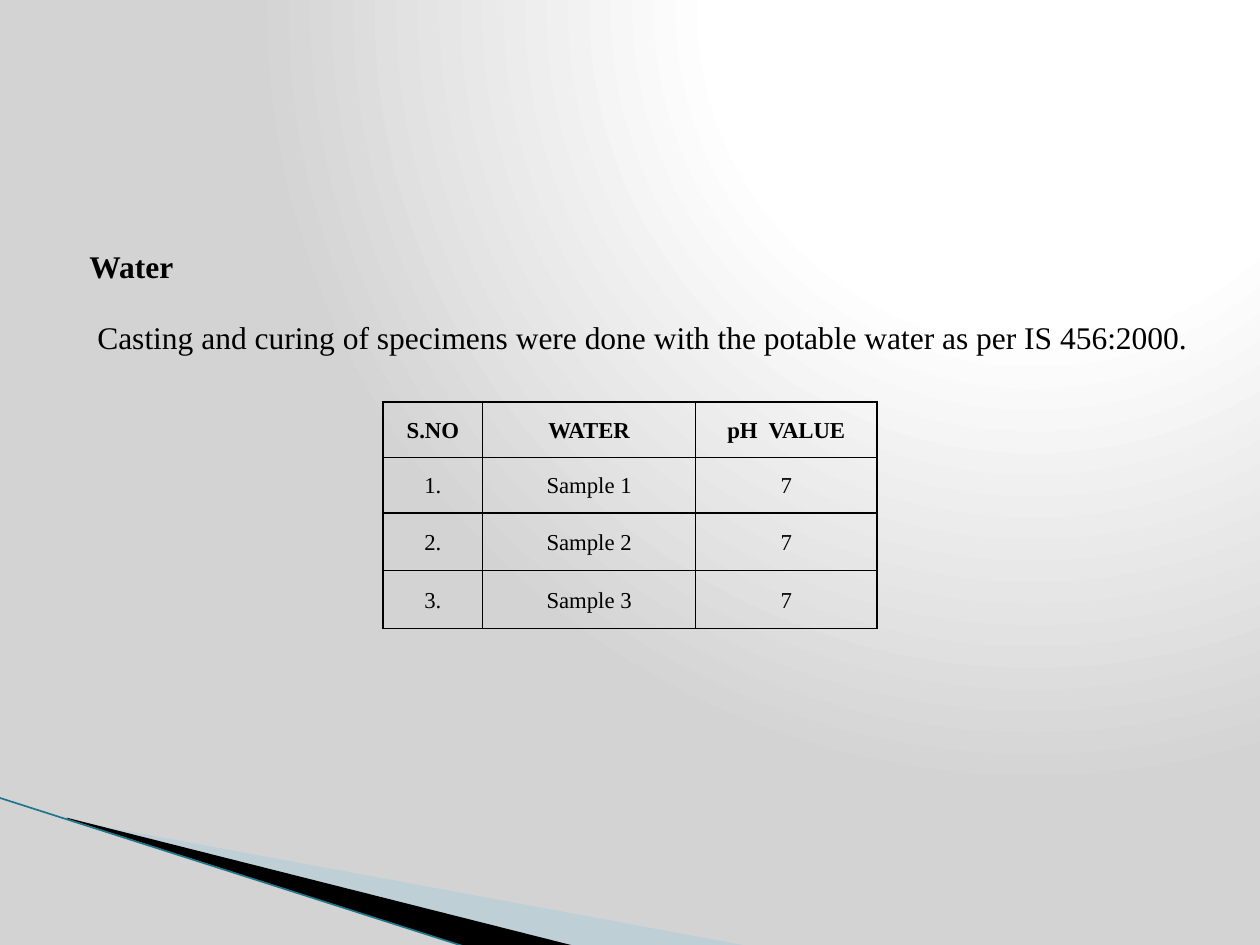
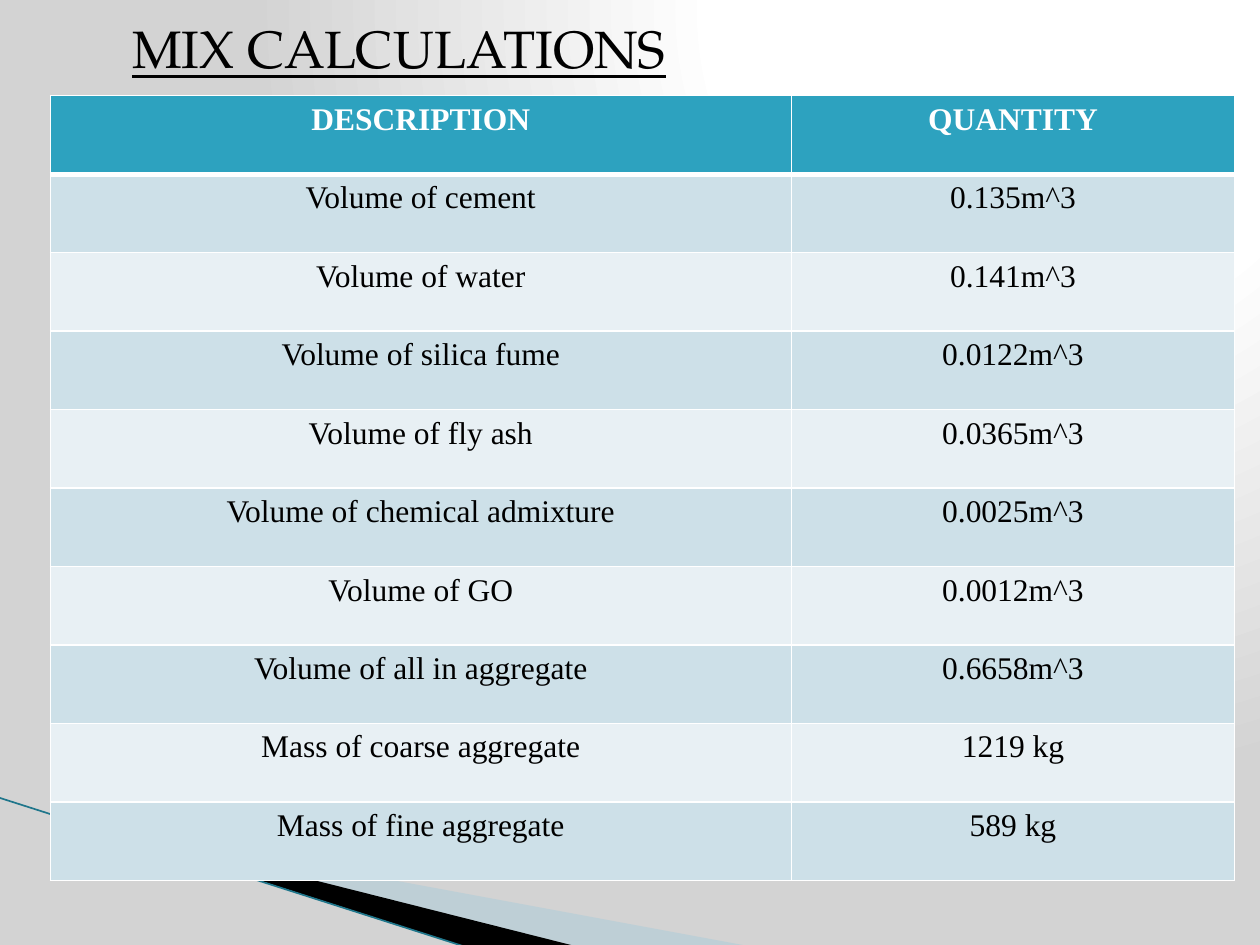
"""Build two slides on water tests and mix figures for concrete."""
from dataclasses import dataclass

from lxml.etree import SubElement as Sub
from pptx import Presentation
from pptx.dml.color import RGBColor as Rgb
from pptx.enum.text import MSO_ANCHOR as Anchor, MSO_AUTO_SIZE as Auto, PP_ALIGN as Align
from pptx.oxml.ns import qn
from pptx.util import Inches, Pt

SERIF = "Times New Roman"
BLACK, WHITE, HEAD = "000000", "FFFFFF", "2DA2BF"
BANDS = ("CDE0E8", "E8F0F4")


@dataclass
class Wedge:
    """Hold the points, fill and alpha of one corner wedge."""
    points: list
    color: str
    alpha: int = 100


@dataclass
class Grid:
    """Hold the place, content and look of one table."""
    box: tuple
    cols: list
    heights: list
    rows: list
    size: int
    edge: str
    rule: int
    para: dict
    cell: dict
    head: str = ""
    bands: tuple = ()
    ink: str = BLACK


WEDGES = [
    Wedge([(0.55, 6.51), (5.95, 7.51), (4.56, 7.51), (0.55, 6.5)], "A0CBDC", 40),
    Wedge([(0.53, 6.49), (4.57, 7.51), (3.72, 7.52), (0.54, 6.5)], BLACK),
]
WATER = Grid(
    box=(3.04, 3.19, 3.92, 1.8), cols=[0.79, 1.69, 1.44],
    heights=[0.44, 0.44, 0.46, 0.46],
    rows=[("S.NO", "WATER", "pH  VALUE")]
    + [(f"{n}.", f"Sample {n}", "7") for n in range(1, 4)],
    size=13, edge=BLACK, rule=1,
    para={"line_spacing": 1.07, "space_after": Pt(8)},
    cell={"margin_left": Inches(0.07), "margin_right": Inches(0.07), "margin_top": 0,
          "margin_bottom": 0, "vertical_anchor": Anchor.MIDDLE},
)
MIX = Grid(
    box=(0.4, 0.76, 9.4, 6.23), cols=[5.88, 3.52], heights=[0.623] * 10,
    rows=[
        ("DESCRIPTION", "QUANTITY"),
        ("Volume of cement", "0.135m^3"),
        ("Volume of water", "0.141m^3"),
        ("Volume of silica fume", "0.0122m^3"),
        ("Volume of fly ash", "0.0365m^3"),
        ("Volume of chemical admixture", "0.0025m^3"),
        ("Volume of GO", "0.0012m^3"),
        ("Volume of all in aggregate", "0.6658m^3"),
        ("Mass of coarse aggregate", "1219 kg"),
        ("Mass of fine aggregate", "589 kg"),
    ],
    size=18, edge=WHITE, rule=3, para={}, cell={}, head=HEAD, bands=BANDS, ink=WHITE,
)


def style(item, **values) -> None:
    """Set each named value on an item."""
    for name, value in values.items():
        setattr(item, name, value)


def paint(fill, color: str) -> None:
    """Fill with a hex colour, or with nothing when it is empty."""
    if color:
        fill.solid()
        fill.fore_color.rgb = Rgb.from_string(color)
    else:
        fill.background()


def write(para, text: str, face: str, size: int, color: str, **values) -> None:
    """Add one formatted run to a paragraph."""
    run = para.add_run()
    run.text = text
    style(run.font, name=face, size=Pt(size), **values)
    paint(run.font.fill, color)


def place(shape, box: tuple) -> None:
    """Move and size a shape in inches."""
    style(shape, **dict(zip(("left", "top", "width", "height"), map(Inches, box))))


def shade(page) -> None:
    """Give a page the round grey gradient."""
    fill = page.background.fill
    fill.gradient()
    grad = page.background._cSld.find(".//" + qn("a:gradFill"))
    for child in list(grad):
        grad.remove(child)
    stops = Sub(grad, qn("a:gsLst"))
    for pos, color in ((0, WHITE), (40, WHITE), (100, "D3D3D3")):
        stop = Sub(stops, qn("a:gs"), pos=str(pos * 1000))
        Sub(stop, qn("a:srgbClr"), val=color)
    way = Sub(grad, qn("a:path"), path="circle")
    Sub(way, qn("a:fillToRect"), l="65000", b="98000")


def swoosh(slide) -> None:
    """Draw the wedges and the line in the lower corner."""
    for wedge in WEDGES:
        dots = [(Inches(x), Inches(y)) for x, y in wedge.points]
        form = slide.shapes.build_freeform(*dots[0])
        form.add_line_segments(dots[1:])
        shape = form.convert_to_shape()
        shape.shadow.inherit = False
        paint(shape.fill, wedge.color)
        shape.line.fill.background()
        if wedge.alpha < 100:
            tint = shape._element.spPr.find(".//" + qn("a:srgbClr"))
            Sub(tint, qn("a:alpha"), val=str(wedge.alpha * 1000))
    line = slide.shapes.add_connector(1, *map(Inches, (-0.01, 6.33, 3.71, 7.52)))
    paint(line.line.fill, "1F768B")
    line.line.width = Pt(0.95)
    Sub(line._element.spPr, qn("a:effectLst"))


def edge(cell, color: str, **widths) -> None:
    """Draw the four borders of a cell, one point wide unless told."""
    for side in "LRTB":
        line = Sub(cell._tc.get_or_add_tcPr(), qn("a:ln" + side),
                   w=str(Pt(widths.get(side, 1))))
        Sub(Sub(line, qn("a:solidFill")), qn("a:srgbClr"), val=color)


def fill_grid(slide, grid: Grid) -> None:
    """Add a table and fill its cells."""
    table = slide.shapes.add_table(len(grid.rows), len(grid.cols),
                                   *map(Inches, grid.box)).table
    style(table, first_row=bool(grid.head), horz_banding=bool(grid.bands))
    for col, width in zip(table.columns, grid.cols):
        col.width = Inches(width)
    for row, height in zip(table.rows, grid.heights):
        row.height = Inches(height)
    for r, texts in enumerate(grid.rows):
        top = r == 0
        band = grid.bands[(r - 1) % 2] if grid.bands else ""
        rule = {0: {"B": grid.rule}, 1: {"T": grid.rule}}.get(r, {})
        for c, text in enumerate(texts):
            cell = table.cell(r, c)
            edge(cell, grid.edge, **rule)
            paint(cell.fill, grid.head if top else band)
            style(cell, **grid.cell)
            para = cell.text_frame.paragraphs[0]
            style(para, alignment=Align.CENTER, **grid.para)
            write(para, text, SERIF, grid.size, grid.ink if top else BLACK, bold=top)


def water(deck) -> None:
    """Build the slide on water."""
    slide = deck.slides.add_slide(deck.slide_layouts[1])
    title, body = slide.placeholders
    title._element.getparent().remove(title._element)
    swoosh(slide)
    place(body, (0.61, 1.76, 9.06, 1.08))
    frame = body.text_frame
    style(frame, word_wrap=True, auto_size=Auto.NONE)
    texts = ("Water", "\u00a0Casting and curing of specimens were done "
             "with the potable water as per IS 456:2000.")
    for n, text in enumerate(texts):
        para = frame.add_paragraph() if n else frame.paragraphs[0]
        style(para, alignment=Align.JUSTIFY, line_spacing=1.5,
              space_before=Pt(0), space_after=Pt(8))
        props = para._p.get_or_add_pPr()
        props.set("marL", "0")
        props.set("indent", "0")
        Sub(props, qn("a:buNone"))
        write(para, text, SERIF, 18, BLACK, bold=n == 0)
    fill_grid(slide, WATER)


def mix(deck) -> None:
    """Build the slide of mix figures."""
    slide = deck.slides.add_slide(deck.slide_layouts[5])
    swoosh(slide)
    fill_grid(slide, MIX)
    title = slide.shapes.title
    place(title, (0.95, 0.08, 6.56, 0.61))
    style(title.text_frame, word_wrap=True, auto_size=Auto.NONE,
          vertical_anchor=Anchor.TOP)
    para = title.text_frame.paragraphs[0]
    para.alignment = Align.LEFT
    write(para, "MIX CALCULATIONS", "TeX Gyre Pagella", 30, BLACK, underline=True)


def main() -> None:
    """Build the deck and save it."""
    deck = Presentation()
    style(deck, slide_width=Inches(10), slide_height=Inches(7.5))
    shade(deck.slide_master)
    water(deck)
    mix(deck)
    deck.save("out.pptx")


main()
